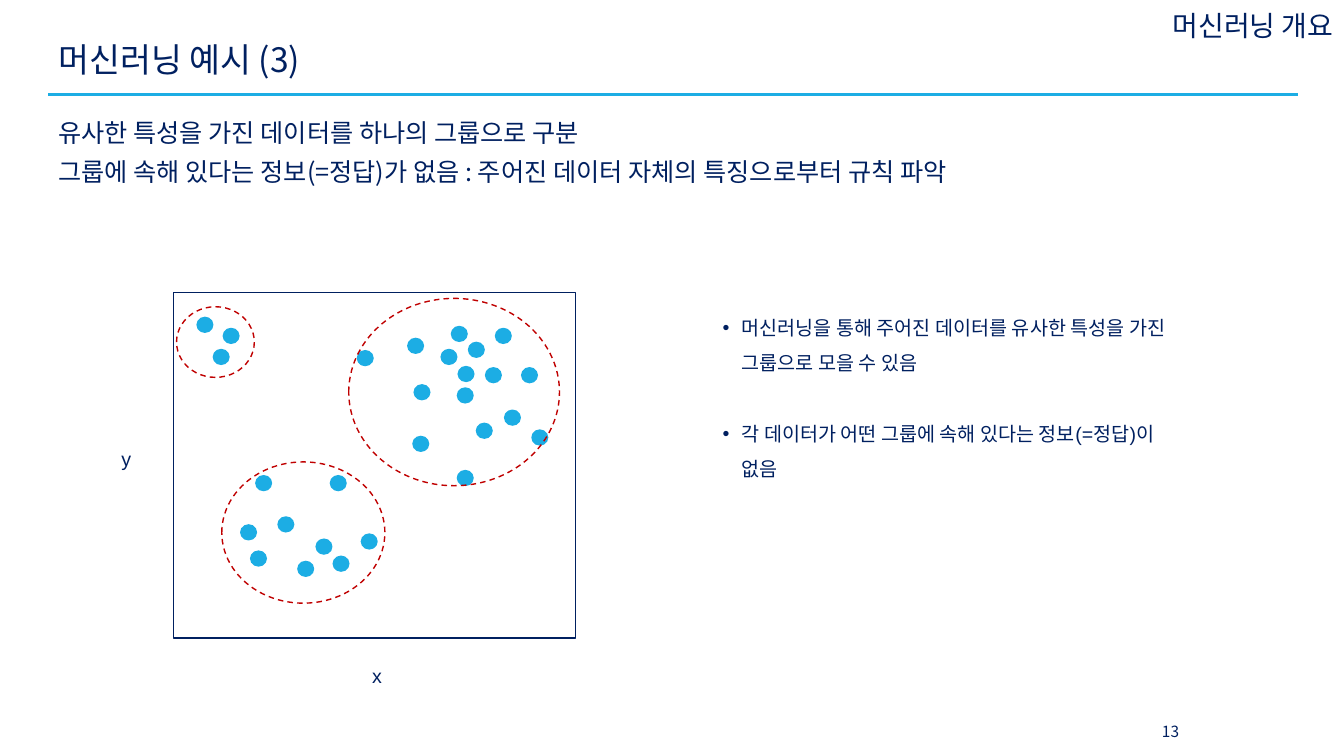
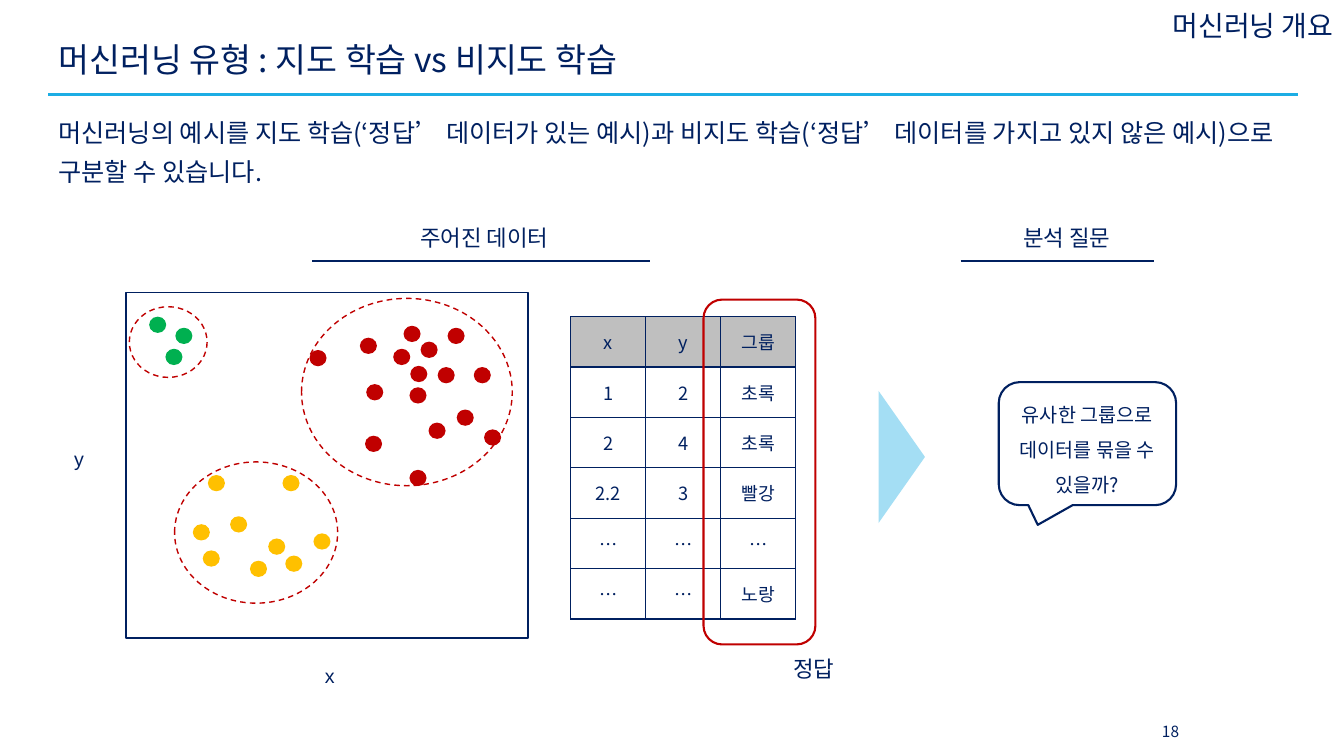
from lxml.etree import SubElement
from pptx import Presentation
from pptx.dml.color import RGBColor
from pptx.enum.dml import MSO_LINE_DASH_STYLE as Dash
from pptx.enum.shapes import MSO_AUTO_SHAPE_TYPE as Shape, MSO_CONNECTOR_TYPE as Connector
from pptx.enum.text import MSO_AUTO_SIZE as AutoSize, MSO_VERTICAL_ANCHOR as Anchor, PP_PARAGRAPH_ALIGNMENT as Align
from pptx.oxml.ns import qn
from pptx.util import Cm, Pt

NAVY, SKY, PALE_SKY, GRAY = "002060", "1CADE4", "A4DEF4", "BFBFBF"
RED, YELLOW, GREEN = "C00000", "FFC000", "00B050"
KOREAN, LATIN = "Noto Sans CJK KR", "Arial"
NORMAL_INSETS, LABEL_INSETS, CALLOUT_INSETS = (0.25, 0.13, 0.25, 0.13), (0.25, 0.3, 0.25, 0.13), (0.1, 0.13, 0.1, 0.13)
PLOT_SIZE = (10.13, 8.71)
DOT_SIZE = (0.43, 0.41)
LARGE_GROUP = [
    (7.14, 2.39), (7.62, 3.28), (6.02, 3.61), (7.14, 4.47), (5.89, 1.14), (7.85, 1.88),
    (6.05, 2.31), (6.73, 1.42), (7.16, 1.85), (8.33, 2.95), (8.76, 1.88), (8.1, 0.89),
    (9.02, 3.45), (6.99, 0.84), (7.42, 1.24), (4.62, 1.45),
]
MIDDLE_GROUP = [
    (2.62, 5.64), (3.12, 6.76), (2.06, 4.6), (1.93, 6.5), (1.68, 5.84),
    (4.72, 6.07), (3.94, 4.6), (3.58, 6.2), (4.01, 6.63),
]
SMALL_GROUP = [(1.24, 0.89), (0.99, 1.42), (0.58, 0.61)]
GROUPS = [
    (LARGE_GROUP, (4.42, 0.15, 5.31, 4.72)),
    (MIDDLE_GROUP, (1.22, 4.27, 4.11, 3.56)),
    (SMALL_GROUP, (0.08, 0.36, 1.96, 1.78)),
]
TABLE_ROWS = [
    ("x", "y", "그룹"), ("1", "2", "초록"), ("2", "4", "초록"),
    ("2.2", "3", "빨강"), ("…", "…", "…"), ("…", "…", "노랑"),
]


def color(value):
    """Turn a hex string into a colour."""
    return RGBColor.from_string(value)


def set_values(target, values):
    """Set each attribute named in a dict."""
    for name, value in values.items():
        setattr(target, name, value)


def place(shape, box):
    """Move and size a shape to a box in centimetres."""
    set_values(shape, dict(zip(("left", "top", "width", "height"), map(Cm, box))))


def write(frame, texts, size, font=KOREAN, align=Align.LEFT, spacing=1.0, gap=0, bullet=False):
    """Write formatted paragraphs into a text frame."""
    frame.text = "\n".join(texts)
    for index, paragraph in enumerate(frame.paragraphs):
        properties = paragraph._p.get_or_add_pPr()
        indent = Cm(0.48) if bullet else 0
        properties.set("marL", str(indent))
        properties.set("indent", str(-indent))
        if bullet:
            SubElement(properties, qn("a:buFont")).set("typeface", LATIN)
            SubElement(properties, qn("a:buChar")).set("char", "•")
        else:
            SubElement(properties, qn("a:buNone"))
        set_values(paragraph, {"alignment": align, "line_spacing": spacing,
                               "space_before": Pt(gap if index else 0)})
        for run in paragraph.runs:
            set_values(run.font, {"size": Pt(size), "name": font})
            run.font.color.rgb = color(NAVY)
            SubElement(run._r.get_or_add_rPr(), qn("a:ea")).set("typeface", KOREAN)


def set_frame(frame, anchor=Anchor.TOP, insets=NORMAL_INSETS):
    """Set wrapping, anchoring and insets of a text frame."""
    sides = ("margin_left", "margin_top", "margin_right", "margin_bottom")
    set_values(frame, {"word_wrap": True, "auto_size": AutoSize.NONE, "vertical_anchor": anchor})
    set_values(frame, dict(zip(sides, map(Cm, insets))))


def add_text(slide, box, texts, size, anchor=Anchor.MIDDLE, insets=NORMAL_INSETS, **style):
    """Add a text box."""
    frame = slide.shapes.add_textbox(*map(Cm, box)).text_frame
    set_frame(frame, anchor, insets)
    write(frame, texts, size, **style)


def add_shape(slide, kind, box, fill=None, line=None, width=1, dash=None):
    """Add a preset shape with an optional fill and outline."""
    shape = slide.shapes.add_shape(kind, *map(Cm, box))
    shape.shadow.inherit = False
    if fill:
        shape.fill.solid()
        shape.fill.fore_color.rgb = color(fill)
    else:
        shape.fill.background()
    if line:
        shape.line.color.rgb = color(line)
        set_values(shape.line, {"width": Pt(width), "dash_style": dash})
    else:
        shape.line.fill.background()
    return shape


def add_rule(slide, left, top, length, line, width):
    """Add a horizontal line."""
    rule = slide.shapes.add_connector(Connector.STRAIGHT, Cm(left), Cm(top), Cm(left + length), Cm(top))
    rule.line.color.rgb = color(line)
    rule.line.width = Pt(width)
    SubElement(rule._element.spPr, qn("a:effectLst"))


def add_page(presentation, title, body, number):
    """Add a slide with its title, lead text, section name and page number."""
    slide = presentation.slides.add_slide(presentation.slide_layouts[1])
    heading, lead = slide.placeholders
    place(heading, (1.22, 0.74, 31.5, 1.6))
    set_frame(heading.text_frame, Anchor.MIDDLE)
    write(heading.text_frame, [title], 24, spacing=0.9)
    place(lead, (1.22, 2.59, 31.5, 3.2))
    set_frame(lead.text_frame)
    write(lead.text_frame, body, 18, spacing=1.3)
    add_rule(slide, 1.22, 2.39, 31.5, SKY, 2.25)
    add_text(slide, (23.52, 0.1, 10.34, 1.09), ["머신러닝 개요"], 20, align=Align.RIGHT)
    add_text(slide, (28.7, 17.93, 1.6, 1.02), [str(number)], 11, align=Align.CENTER)
    return slide


def add_scatter(slide, left, top, dot_colors):
    """Draw the scatter plot with its circled groups and axis names."""
    add_shape(slide, Shape.RECTANGLE, (left, top, *PLOT_SIZE), line=NAVY)
    for (dots, ring), fill in zip(GROUPS, dot_colors):
        for x, y in dots:
            add_shape(slide, Shape.OVAL, (left + x, top + y, *DOT_SIZE), fill=fill)
        x, y, width, height = ring
        add_shape(slide, Shape.OVAL, (left + x, top + y, width, height), line=RED, dash=Dash.DASH)
    for name, x, y, width in (("x", 3.1, 8.76, 4.06), ("y", -2.34, 3.3, 2.31)):
        add_text(slide, (left + x, top + y, width, 1.22), [name], 14, Anchor.TOP, LABEL_INSETS,
                 font=LATIN, align=Align.CENTER, spacing=1.5)


def add_column_heading(slide, left, top, text, rule_left, rule_length):
    """Add a centred heading above a line."""
    add_text(slide, (left, top, 7.04, 1.09), [text], 16, align=Align.CENTER)
    add_rule(slide, rule_left, top + 1.14, rule_length, NAVY, 1)


def add_border(cell):
    """Draw a thin line on every side of a cell."""
    properties = cell._tc.get_or_add_tcPr()
    for index, side in enumerate(("a:lnL", "a:lnR", "a:lnT", "a:lnB")):
        line = properties.makeelement(qn(side), {"w": str(Pt(1))})
        fill = SubElement(line, qn("a:solidFill"))
        SubElement(fill, qn("a:srgbClr")).set("val", NAVY)
        properties.insert(index, line)


def add_data_table(slide, left, top):
    """Add the data table and mark its answer column."""
    box = (left, top, 5.67, 7.62)
    table = slide.shapes.add_table(len(TABLE_ROWS), len(TABLE_ROWS[0]), *map(Cm, box)).table
    set_values(table, {"first_row": False, "horz_banding": False})
    for row_index, values in enumerate(TABLE_ROWS):
        for column_index, value in enumerate(values):
            cell = table.cell(row_index, column_index)
            cell.vertical_anchor = Anchor.MIDDLE
            write(cell.text_frame, [value], 13, align=Align.CENTER)
            if row_index:
                cell.fill.background()
            else:
                cell.fill.solid()
                cell.fill.fore_color.rgb = color(GRAY)
            add_border(cell)
    add_shape(slide, Shape.ROUNDED_RECTANGLE, (left + 3.35, top - 0.43, 2.82, 8.69), line=RED, width=1.5)
    add_text(slide, (left + 4.88, top + 8.33, 2.49, 1.09), ["정답"], 16, align=Align.CENTER)


def add_question(slide, left, top):
    """Add the arrow and the speech bubble with the question."""
    arrow = add_shape(slide, Shape.ISOSCELES_TRIANGLE, (left, top + 1.3, 3.33, 1.17), fill=PALE_SKY)
    arrow.rotation = 90
    bubble = add_shape(slide, Shape.ROUNDED_RECTANGULAR_CALLOUT, (left + 4.11, top, 4.47, 3.1),
                       line=NAVY, width=1.5)
    for index, value in enumerate((-0.28, 0.66, 0.17)):
        bubble.adjustments[index] = value
    set_frame(bubble.text_frame, Anchor.MIDDLE, CALLOUT_INSETS)
    write(bubble.text_frame, ["유사한 그룹으로 데이터를 묶을 수 있을까?"], 14, align=Align.CENTER, spacing=1.5)


def build_example(presentation):
    """Build the clustering example slide."""
    slide = add_page(presentation, "머신러닝 예시 (3)", [
        "유사한 특성을 가진 데이터를 하나의 그룹으로 구분\v"
        "그룹에 속해 있다는 정보(=정답)가 없음 : 주어진 데이터 자체의 특징으로부터 규칙 파악"], 13)
    add_scatter(slide, 4.37, 7.37, (SKY, SKY, SKY))
    add_text(slide, (17.96, 7.37, 11.91, 4.8), [
        "머신러닝을 통해 주어진 데이터를 유사한 특성을 가진 그룹으로 모을 수 있음",
        "각 데이터가 어떤 그룹에 속해 있다는 정보(=정답)이 없음",
    ], 14, Anchor.TOP, LABEL_INSETS, font=LATIN, spacing=1.5, gap=25, bullet=True)


def build_comparison(presentation):
    """Build the supervised versus unsupervised slide."""
    slide = add_page(presentation, "머신러닝 유형 : 지도 학습 vs 비지도 학습", [
        "머신러닝의 예시를 지도 학습(‘정답’ 데이터가 있는 예시)과 "
        "비지도 학습(‘정답’ 데이터를 가지고 있지 않은 예시)으로 구분할 수 있습니다."], 18)
    add_scatter(slide, 3.18, 7.37, (RED, YELLOW, GREEN))
    add_column_heading(slide, 8.69, 5.44, "주어진 데이터", 7.87, 8.51)
    add_column_heading(slide, 23.37, 5.44, "분석 질문", 24.21, 4.88)
    add_data_table(slide, 14.38, 7.98)
    add_question(slide, 21.06, 9.63)


def main():
    """Build and save the presentation."""
    presentation = Presentation()
    set_values(presentation, {"slide_width": Cm(33.87), "slide_height": Cm(19.05)})
    build_example(presentation)
    build_comparison(presentation)
    presentation.save("out.pptx")


if __name__ == "__main__":
    main()
